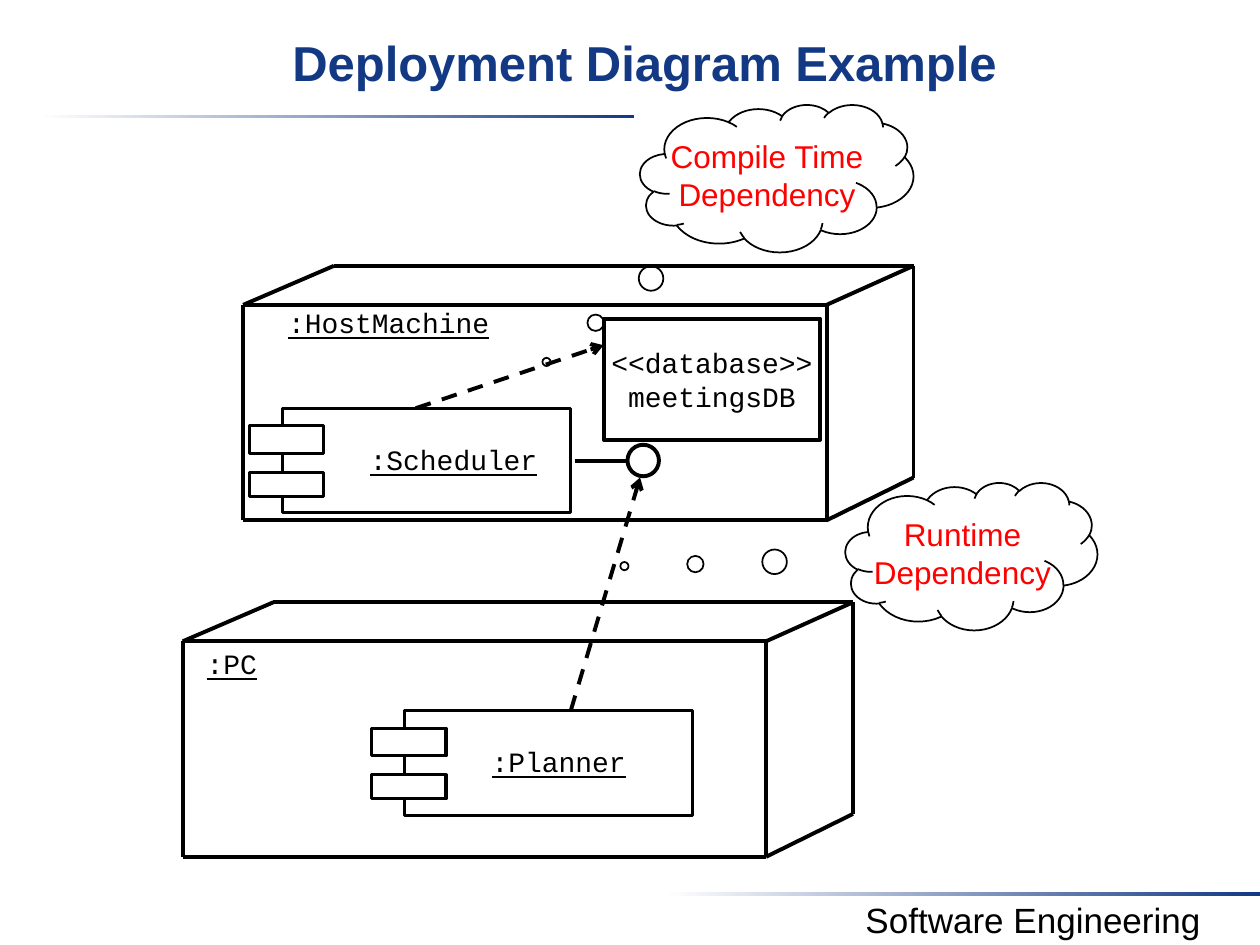
import pptx
import pptx.util
import pptx.dml.color
import pptx.enum.dml
import pptx.enum.shapes
import pptx.enum.text
import pptx.oxml
import pptx.oxml.ns

Inches = pptx.util.Inches
Pt = pptx.util.Pt
SHAPE = pptx.enum.shapes.MSO_SHAPE
ANCHOR = pptx.enum.text.MSO_ANCHOR
COLORS = {"ink": "000000", "navy": "133984", "note": "FF0000", "paper": "FFFFFF"}
TITLE = {"name": "Arial", "size": Pt(28), "bold": True}
FOOTER = {"name": "Arial", "size": Pt(20)}
NOTE = {"name": "Arial", "size": Pt(18)}
CODE = {"name": "Courier New", "size": Pt(16)}
LABEL = {**CODE, "underline": True}


def rgb(key):
    return pptx.dml.color.RGBColor.from_string(COLORS[key])


def set_all(target, values):
    for name, value in values.items():
        setattr(target, name, value)


def write(tf, lines, font, color="ink", **frame):
    set_all(tf, {"word_wrap": False, **frame})
    for i, line in enumerate(lines):
        p = tf.paragraphs[0] if i == 0 else tf.add_paragraph()
        p.alignment = pptx.enum.text.PP_ALIGN.CENTER
        r = p.add_run()
        r.text = line
        set_all(r.font, font)
        r.font.color.rgb = rgb(color)


def add_text(shapes, box, text, font, **frame):
    sp = shapes.add_textbox(*map(Inches, box))
    write(sp.text_frame, [text], font, **frame)


def add_shape(shapes, kind, box, width, fill=None):
    sp = shapes.add_shape(kind, *map(Inches, box))
    sp.shadow.inherit = False
    if fill:
        sp.fill.solid()
        sp.fill.fore_color.rgb = rgb(fill)
    else:
        sp.fill.background()
    sp.line.color.rgb = rgb("ink")
    sp.line.width = Pt(width)
    return sp


def add_line(shapes, start, end, dependency=False):
    line = shapes.add_connector(
        pptx.enum.shapes.MSO_CONNECTOR.STRAIGHT, *map(Inches, (*start, *end)))
    line.line.color.rgb = rgb("ink")
    line.line.width = Pt(2.25)
    spPr = line._element.spPr
    if dependency:
        line.line.dash_style = pptx.enum.dml.MSO_LINE.DASH
        ln = spPr.find(pptx.oxml.ns.qn("a:ln"))
        ln.append(pptx.oxml.parse_xml(
            f'<a:tailEnd {pptx.oxml.ns.nsdecls("a")} type="arrow"/>'))
    spPr.append(pptx.oxml.parse_xml(f'<a:effectLst {pptx.oxml.ns.nsdecls("a")}/>'))


def add_rule(shapes, x, y):
    sp = shapes.add_shape(SHAPE.RECTANGLE, *map(Inches, (x, y, 4.72, 0.03)))
    sp.shadow.inherit = False
    sp.line.fill.background()
    sp.fill.gradient()
    sp.fill.gradient_angle = 0
    for stop, position, color in zip(sp.fill.gradient_stops, (0, 1), ("paper", "navy")):
        stop.position = position
        stop.color.rgb = rgb(color)


def add_cloud(shapes, box, pointer, lines):
    sp = add_shape(shapes, SHAPE.CLOUD_CALLOUT, box, 1)
    for i, value in enumerate(pointer):
        sp.adjustments[i] = value
    write(sp.text_frame, lines, NOTE, "note", vertical_anchor=ANCHOR.MIDDLE)


def add_component(shapes, x, y, name, label_width):
    add_shape(shapes, SHAPE.RECTANGLE, (x, y, 2.29, 0.83), 1.75)
    add_text(shapes, (x + 0.69, y + 0.27, label_width, 0.27), name, LABEL,
             margin_left=0, margin_top=0, margin_right=0, margin_bottom=0)
    for dy, height in ((0.51, 0.19), (0.14, 0.22)):
        add_shape(shapes, SHAPE.RECTANGLE, (x - 0.26, y + dy, 0.59, height), 1.75, "paper")


def add_node(shapes, x, y, label_box, name):
    add_text(shapes, label_box, name, LABEL)
    right, bottom = x + 4.63, y + 1.71
    front = [(x, bottom), (x, y), (right, y), (right, bottom)]
    back = [(x + 0.72, y - 0.31), (right + 0.69, y - 0.31), (right + 0.69, bottom - 0.34)]
    edges = [*zip(front, front[1:] + front[:1]), *zip(back, back[1:]), *zip(front[1:], back)]
    for start, end in edges:
        add_line(shapes, start, end)


def main():
    prs = pptx.Presentation()
    prs.slide_width, prs.slide_height = Inches(10), Inches(7.5)
    s = prs.slides.add_slide(prs.slide_layouts[5])

    add_rule(s.shapes, 0.31, 0.91)
    add_rule(s.shapes, 5.28, 7.08)
    add_text(s.shapes, (6.4, 7.08, 3.6, 0.44), "Software Engineering", FOOTER, word_wrap=True)

    title = s.shapes.title
    set_all(title, {"left": Inches(0.23), "top": Inches(0.2),
                    "width": Inches(9.77), "height": Inches(0.75)})
    write(title.text_frame, ["Deployment Diagram Example"], TITLE, "navy",
          word_wrap=True, vertical_anchor=ANCHOR.TOP, margin_top=Inches(0.06),
          auto_size=pptx.enum.text.MSO_AUTO_SIZE.NONE)

    add_cloud(s.shapes, (6.71, 3.83, 2, 1.17), (-1.377, 0.067), ["Runtime", "Dependency"])
    add_cloud(s.shapes, (5.08, 0.83, 2.17, 1.17), (-0.842, 1.246),
              ["Compile Time", "Dependency"])

    pc = s.shapes.add_group_shape().shapes
    add_component(pc, 3.21, 5.64, ":Planner", 1.07)
    add_node(pc, 1.45, 5.09, (1.54, 5.08, 0.6, 0.37), ":PC")

    host = s.shapes.add_group_shape().shapes
    add_component(host, 2.24, 3.24, ":Scheduler", 1.34)
    add_line(host, (4.56, 3.66), (4.98, 3.66))
    add_shape(host, SHAPE.OVAL, (4.98, 3.53, 0.25, 0.25), 2.25, "paper")
    add_node(host, 1.93, 2.42, (2.18, 2.38, 1.81, 0.37), ":HostMachine")
    database = add_shape(host, SHAPE.RECTANGLE, (4.79, 2.53, 1.72, 0.96), 2.25)
    write(database.text_frame, ["<<database>>", "meetingsDB"], CODE,
          vertical_anchor=ANCHOR.MIDDLE)
    add_line(host, (3.3, 3.24), (4.79, 2.74), dependency=True)
    add_line(s.shapes, (4.53, 5.64), (5.08, 3.79), dependency=True)

    prs.save("out.pptx")


main()
